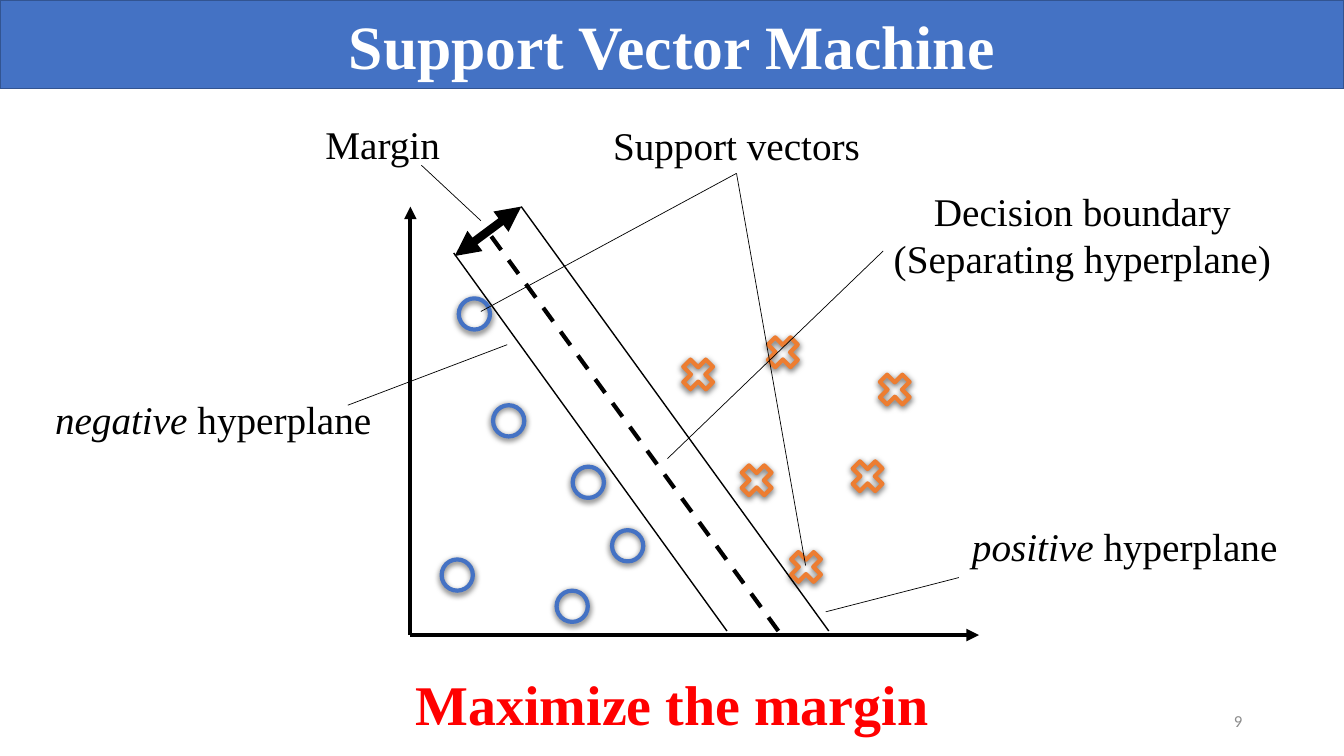
from dataclasses import dataclass

from lxml.etree import SubElement
from pptx import Presentation
from pptx.dml.color import RGBColor
from pptx.enum.dml import MSO_LINE
from pptx.enum.shapes import MSO_CONNECTOR, MSO_SHAPE as Preset
from pptx.enum.text import MSO_ANCHOR as Anchor, MSO_AUTO_SIZE as AutoSize, PP_ALIGN as Align
from pptx.oxml.ns import qn
from pptx.util import Inches, Pt


@dataclass(frozen=True)
class Theme:
    serif: str = "Times New Roman"
    sans: str = "Calibri"
    ink: str = "000000"
    paper: str = "FFFFFF"
    blue: str = "4472C4"
    navy: str = "325491"
    orange: str = "ED7D31"
    red: str = "FF0000"
    gray: str = "8C8C8C"
    title: int = 44
    message: int = 40
    label: int = 28
    number: int = 12
    hairline: float = 0.5
    thin: float = 1
    thick: float = 3
    heavy: float = 6


class SlideBuilder:
    def __init__(self, slide, theme):
        self.shapes = slide.shapes
        self.theme = theme

    def style_text(self, paragraph, size, color, bold=False, font=None, align=Align.CENTER):
        paragraph.alignment = align
        for run in paragraph.runs:
            run.font.name = font or self.theme.serif
            run.font.size = Pt(size)
            run.font.bold = bold
            run.font.color.rgb = RGBColor.from_string(color)

    def banner(self, text, box):
        theme = self.theme
        banner = self.shapes.add_shape(Preset.RECTANGLE, *map(Inches, box))
        banner.shadow.inherit = False
        banner.fill.solid()
        banner.fill.fore_color.rgb = RGBColor.from_string(theme.blue)
        banner.line.color.rgb = RGBColor.from_string(theme.navy)
        banner.line.width = Pt(theme.thin)
        banner.text_frame.text = text
        banner.text_frame.vertical_anchor = Anchor.MIDDLE
        self.style_text(banner.text_frame.paragraphs[0], theme.title, theme.paper, bold=True)

    def label(self, text, box, size=None, color=None, emphasis="", **style):
        """Add a text box; emphasis is an italic lead-in before the text."""
        label = self.shapes.add_textbox(*map(Inches, box))
        frame = label.text_frame
        frame.word_wrap = True
        frame.auto_size = AutoSize.SHAPE_TO_FIT_TEXT
        frame.text = emphasis or text
        if emphasis:
            frame.paragraphs[0].runs[0].font.italic = True
            frame.paragraphs[0].add_run().text = text
        for paragraph in frame.paragraphs:
            self.style_text(paragraph, size or self.theme.label, color or self.theme.ink, **style)
        return label

    def page_number(self, text, box):
        number = self.label(text, box, self.theme.number, self.theme.gray,
                            font=self.theme.sans, align=Align.RIGHT)
        number.text_frame.auto_size = AutoSize.NONE
        number.text_frame.vertical_anchor = Anchor.MIDDLE

    def data_point(self, preset, left, top, size, color):
        """Add a hollow marker with a soft shadow below it."""
        point = self.shapes.add_shape(preset, *map(Inches, (left, top, size, size)))
        point.fill.background()
        point.line.color.rgb = RGBColor.from_string(color)
        point.line.width = Pt(self.theme.thick)
        point.shadow.inherit = False
        effects = point._element.spPr.find(qn("a:effectLst"))
        shadow = SubElement(effects, qn("a:outerShdw"), blurRad=str(Pt(4.5)), dist=str(Pt(1.5)),
                            dir="5400000", algn="ctr", rotWithShape="0")
        shade = SubElement(shadow, qn("a:srgbClr"), val=self.theme.ink)
        SubElement(shade, qn("a:alpha"), val="63000")

    def line(self, start, end, width, dashed=False, arrows=()):
        """Add a straight line; arrows names the ends, headEnd before tailEnd."""
        line = self.shapes.add_connector(MSO_CONNECTOR.STRAIGHT, *map(Inches, (*start, *end)))
        line.line.color.rgb = RGBColor.from_string(self.theme.ink)
        line.line.width = Pt(width)
        if dashed:
            line.line.dash_style = MSO_LINE.DASH
        properties = line._element.spPr
        for arrow in arrows:
            SubElement(properties.find(qn("a:ln")), qn(f"a:{arrow}"), type="triangle")
        SubElement(properties, qn("a:effectLst"))
        return line


NEGATIVE_POINTS = [(4.55, 2.96), (4.38, 5.55), (5.68, 4.63), (4.89, 4.02), (5.52, 5.86), (6.07, 5.26)]
POSITIVE_POINTS = [(7.55, 3.28), (7.29, 4.55), (8.39, 4.51), (6.71, 3.5), (7.78, 5.41), (8.66, 3.65)]
POINT_CLASSES = [
    (Preset.OVAL, 0.31, Theme.blue, NEGATIVE_POINTS),
    (Preset.MATH_MULTIPLY, 0.43, Theme.orange, POSITIVE_POINTS),
]
AXIS_ORIGIN = (4.07, 6.3)
AXIS_ENDS = [(9.71, 6.3), (4.07, 2.05)]
HYPERPLANE_BASE = 6.26
POINTERS = [
    ((4.77, 2.19), (4.18, 1.64)),
    ((8.76, 2.49), (6.62, 4.55)),
    ((9.51, 5.73), (8.19, 6.07)),
    ((5.03, 3.42), (3.45, 4.02)),
]
SUPPORT_VECTORS = [(4.77, 3.09), (7.99, 5.61)]


def main():
    presentation = Presentation()
    presentation.slide_width = Inches(13.33)
    presentation.slide_height = Inches(7.5)
    theme = Theme()
    slide = SlideBuilder(presentation.slides.add_slide(presentation.slide_layouts[6]), theme)

    slide.banner("Support Vector Machine", (0, 0, 13.33, 0.88))
    slide.page_number("9", (9.42, 6.95, 3, 0.4))

    for axis_end in AXIS_ENDS:
        slide.line(AXIS_ORIGIN, axis_end, theme.thick, arrows=["tailEnd"])
    for preset, size, color, points in POINT_CLASSES:
        for left, top in points:
            slide.data_point(preset, left, top, size, color)

    slide.line((7.72, HYPERPLANE_BASE), (4.84, 2.3), theme.thick, dashed=True)
    slide.line((7.21, HYPERPLANE_BASE), (4.5, 2.51), theme.thin)
    slide.line((8.22, HYPERPLANE_BASE), (5.17, 2.05), theme.thin)
    slide.line((4.51, 2.54), (5.17, 2.05), theme.heavy, arrows=["headEnd", "tailEnd"])

    slide.label("Margin", (3.09, 1.14, 1.41, 0.57))
    slide.label("Decision boundary\n(Separating hyperplane)", (8.67, 1.81, 4.13, 1.04))
    slide.label("hyperplane", (9.09, 5.13, 4.13, 0.57), emphasis="positive ")
    slide.label("hyperplane", (0.05, 3.87, 4.13, 0.57), emphasis="negative ")
    slide.label("Maximize the margin", (3.47, 6.59, 6.39, 0.77), theme.message, theme.red, bold=True)
    for start, end in POINTERS:
        slide.line(start, end, theme.hairline)

    support_label = slide.label("Support vectors", (5.85, 1.15, 2.91, 0.57))
    for support_vector in SUPPORT_VECTORS:
        pointer = slide.line((7.31, 1.72), support_vector, theme.hairline)
        pointer.begin_connect(support_label, 2)

    presentation.save("out.pptx")


if __name__ == "__main__":
    main()
